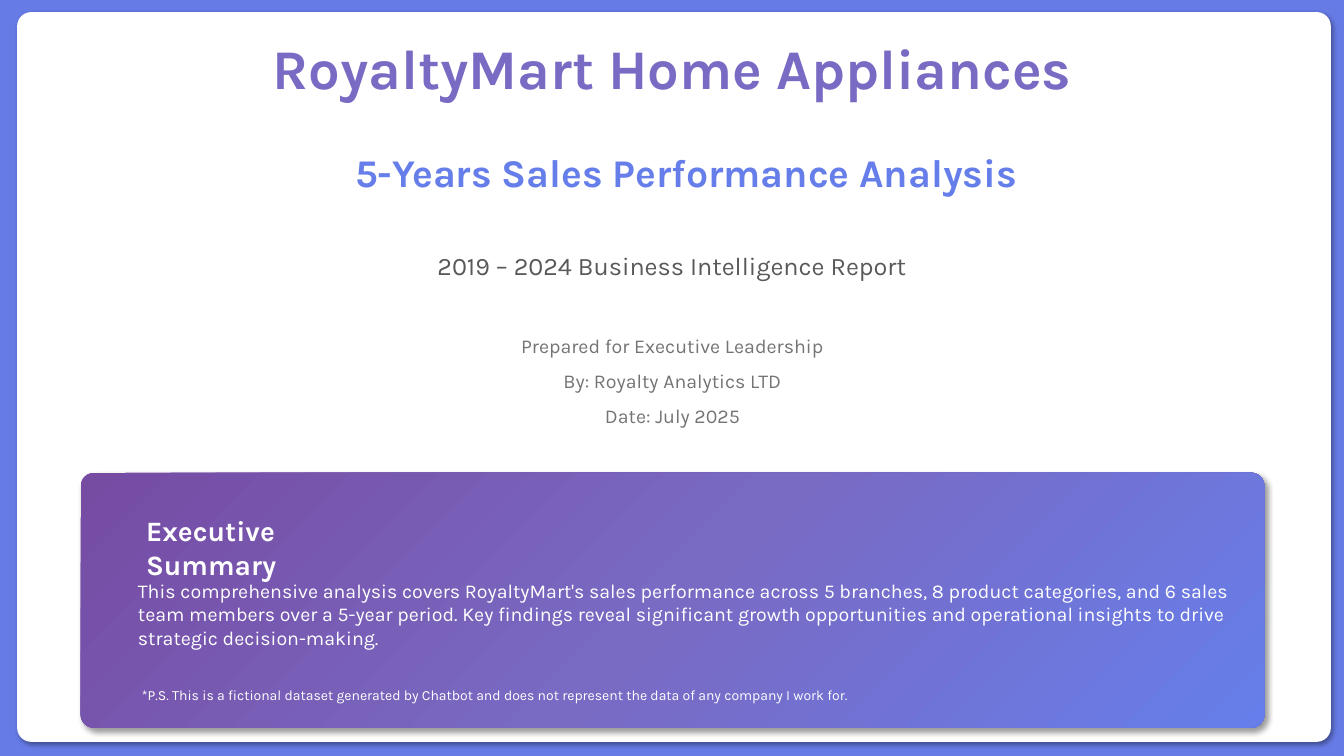
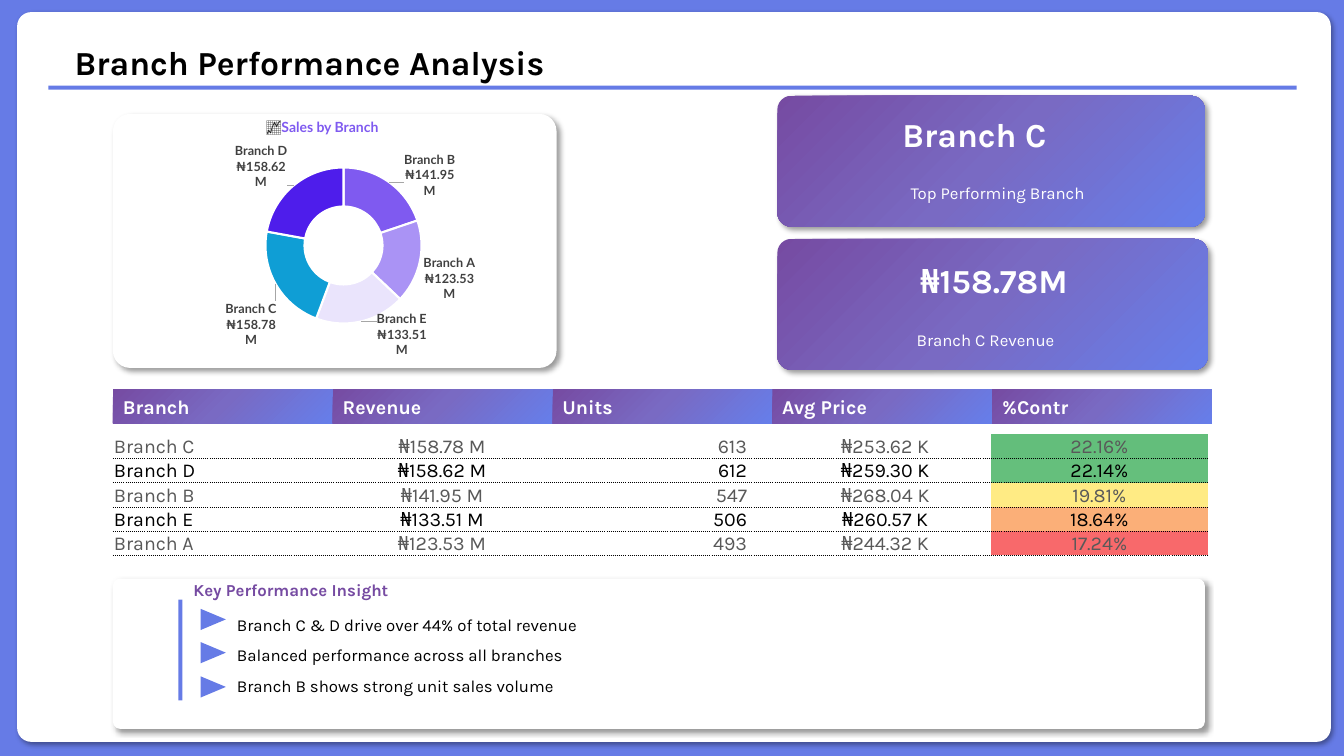
from lxml.etree import SubElement
from pptx import Presentation
from pptx.chart.data import CategoryChartData
from pptx.dml.color import RGBColor
from pptx.enum.chart import XL_CHART_TYPE
from pptx.enum.shapes import MSO_SHAPE
from pptx.enum.text import MSO_ANCHOR, MSO_AUTO_SIZE, PP_ALIGN
from pptx.oxml import parse_xml
from pptx.oxml.ns import nsdecls, qn
from pptx.util import Pt

PX = 9144  # 100 px to the inch

COLORS = {
    "frame": "667BE6", "white": "FFFFFF", "black": "000000",
    "purple": "764BA2", "violet": "796AC3", "blue": "667EEA",
    "dark": "595959", "gray": "747474", "label": "404040", "leader": "A6A6A6",
    "iris": "7F5AF0", "lilac": "AA93F5", "mist": "EAE4FC", "sky": "0F9ED5", "indigo": "4E1DEB",
    "green": "63BE7B", "soft_green": "65BF7C", "yellow": "FFEB84",
    "orange": "FBAF78", "red": "F8696B",
}
GRADIENT = [(0, "purple"), (50, "violet"), (100, "blue")]
LEFT, CENTER, RIGHT = PP_ALIGN.LEFT, PP_ALIGN.CENTER, PP_ALIGN.RIGHT
TOP, MIDDLE, BOTTOM = MSO_ANCHOR.TOP, MSO_ANCHOR.MIDDLE, MSO_ANCHOR.BOTTOM

# Text styles
STYLES = {
    "cover_title": dict(size=40, color="violet", bold=True, align=CENTER, anchor=BOTTOM, spacing=0.9),
    "cover_heading": dict(size=28, color="blue", bold=True, align=CENTER, anchor=BOTTOM, spacing=0.9),
    "subtitle": dict(size=18, color="dark", align=CENTER, spacing=0.9, before=10),
    "credits": dict(size=14, color="gray", align=CENTER, spacing=0.9, before=10),
    "summary_title": dict(size=20, color="white", bold=True),
    "summary": dict(size=14, color="white"),
    "note": dict(size=10, color="white"),
    "title": dict(size=24, color="black", bold=True, align=CENTER, anchor=BOTTOM, spacing=0.9),
    "figure": dict(size=24, color="white", bold=True, align=CENTER),
    "caption": dict(size=12, color="white", align=CENTER),
    "chart_icon": dict(size=11, color="black", bold=True, font="Lato"),
    "chart_title": dict(size=10, color="iris", bold=True, font="Lato"),
    "header": dict(size=14, color="white", bold=True, anchor=MIDDLE),
    "odd_row": dict(size=14, color="dark"),
    "even_row": dict(size=14, color="black"),
    "insight_title": dict(size=12, color="purple", bold=True),
    "insights": dict(size=12, color="black", spacing=1.5),
}

# Shared parts: box, fill, corner radius
PANEL = ((17, 12, 1303, 724), "white", 14)

# Cover content: box, lines, style
COVER_TITLE = ((205, 47, 923, 59), ["RoyaltyMart Home Appliances"], "cover_title")
COVER_SUBTITLE = ((352, 247, 629, 59), ["2019 – 2024 Business Intelligence Report"], "subtitle")
SUMMARY = (
    "This comprehensive analysis covers RoyaltyMart's sales performance across 5 branches, "
    "8 product categories, and 6 sales team members over a 5-year period. Key findings reveal "
    "significant growth opportunities and operational insights to drive strategic "
    "decision-making.")
NOTE = ("*P.S. This is a fictional dataset generated by Chatbot and does not "
        "represent the data of any company I work for.")
CREDITS = ["Prepared for Executive Leadership", "By: Royalty Analytics LTD", "Date: July 2025"]
COVER_TEXTS = [
    ((219, 140, 923, 59), ["5-Years Sales Performance Analysis"], "cover_heading"),
    ((318, 329, 698, 130), CREDITS, "credits"),
    ((135, 505, 278, 44), ["Executive Summary"], "summary_title"),
    ((127, 569, 1107, 81), [SUMMARY], "summary"),
    ((131, 676, 741, 27), [NOTE], "note"),
]
COVER_CARDS = [((80, 469, 1174, 253), "gradient", 13)]

# Branch content
BRANCH_TITLE = ((30, 28, 554, 59), ["Branch Performance Analysis"], "title")
INSIGHTS = ["Branch C & D drive over 44% of total revenue",
            "Balanced performance across all branches",
            "Branch B shows strong unit sales volume"]
INSIGHT_LIST = ((225, 595, 469, 97), INSIGHTS, "insights")
BRANCH_CARDS = [
    ((771, 95, 424, 130), "gradient", 14),
    ((771, 237, 427, 130), "gradient", 14),
    ((112, 113, 440, 252), "white", 17),
    ((112, 574, 1083, 149), "white", 7),
]
BRANCH_TEXTS = [
    ((836, 108, 261, 50), ["Branch C"], "figure"),
    ((849, 176, 281, 30), ["Top Performing Branch"], "caption"),
    ((879, 253, 214, 50), ["₦158.78M"], "figure"),
    ((889, 322, 177, 30), ["Branch C Revenue"], "caption"),
    ((182, 570, 237, 31), ["Key Performance Insight"], "insight_title"),
]
TITLE_RULE = (48, 85, 1238, 4)
INSIGHT_BAR = (177, 595, 4, 100)
MARKER_LEFT, MARKER_TOP, MARKER_WIDTH, MARKER_HEIGHT = 201, 602, 21, 25
MARKER_SPAN = 67  # first marker to last

# Chart: branch, revenue, slice colour, label offset as a share of the chart
CHART_BOX = (167, 134, 344, 226)
CHART_TITLE_BOX = (254, 111, 155, 28)
RING = dict(x=0.28, y=0.14, w=0.45, h=0.69)
SALES = [
    ("Branch B", 141950000, "iris", (0.15, -0.10)),
    ("Branch A", 123530000, "lilac", (0.14, 0.09)),
    ("Branch E", 133510000, "mist", (0.13, 0.14)),
    ("Branch C", 158780000, "sky", (-0.12, 0.22)),
    ("Branch D", 158620000, "indigo", (-0.13, -0.15)),
]

# Table: the last entry of a row is the fill of its last cell
HEADERS = ["Branch", "Revenue", "Units", "Avg Price", "%Contr"]
ROWS = [
    ("Branch C", "₦158.78 M", "613", "₦253.62 K", "22.16%", "green"),
    ("Branch D", "₦158.62 M", "612", "₦259.30 K", "22.14%", "soft_green"),
    ("Branch B", "₦141.95 M", "547", "₦268.04 K", "19.81%", "yellow"),
    ("Branch E", "₦133.51 M", "506", "₦260.57 K", "18.64%", "orange"),
    ("Branch A", "₦123.53 M", "493", "₦244.32 K", "17.24%", "red"),
]
COLUMNS = [(217, LEFT), (219, CENTER), (225, RIGHT), (210, CENTER), (215, CENTER)]
TABLE_LEFT, TABLE_TOP, ROW_HEIGHT = 112, 431, 24
HEADER_TOP, HEADER_WIDTH, HEADER_HEIGHT = 386, 218, 34
UNITS_INDENT = 32
NO_STYLE_NO_GRID = "{2D5ABB26-0587-4C30-8999-92F81FD0307C}"


def color(name):
    return RGBColor.from_string(COLORS[name])


def emu(box):
    return [length * PX for length in box]


def set_fill(fill, color_name):
    fill.solid()
    fill.fore_color.rgb = color(color_name)


# Text
def add_run(paragraph, text, style_name):
    style = STYLES[style_name]
    run = paragraph.add_run()
    run.text = text
    run.font.name = style.get("font", "Karla")
    run.font.size = Pt(style["size"])
    run.font.bold = style.get("bold", False)
    run.font.color.rgb = color(style["color"])


def write(shape, lines, style_name):
    style = STYLES[style_name]
    frame = shape.text_frame
    frame.word_wrap = True
    frame.auto_size = MSO_AUTO_SIZE.NONE
    frame.vertical_anchor = style.get("anchor", TOP)
    for index, line in enumerate(lines):
        paragraph = frame.add_paragraph() if index else frame.paragraphs[0]
        paragraph.alignment = style.get("align", LEFT)
        paragraph.line_spacing = style.get("spacing", 1.0)
        paragraph.space_before = Pt(style.get("before", 0))
        add_run(paragraph, line, style_name)


def fill_placeholder(shape, box, lines, style_name):
    shape.left, shape.top, shape.width, shape.height = emu(box)
    write(shape, lines, style_name)


def remove_bullets(shape):
    for properties in shape.element.iter(qn("a:pPr")):
        properties.set("marL", "0")
        properties.set("indent", "0")
        SubElement(properties, qn("a:buNone"))


def add_text(slide, box, lines, style_name):
    shape = slide.shapes.add_textbox(*emu(box))
    write(shape, lines, style_name)
    return shape


# Shapes
def set_gradient(shape):
    shape.fill.gradient()
    shape.fill.gradient_angle = 315  # from top left to bottom right
    stops = shape.element.find(".//" + qn("a:gsLst"))
    stops.clear()
    for percent, name in GRADIENT:
        stop = SubElement(stops, qn("a:gs"), pos=str(percent * 1000))
        SubElement(stop, qn("a:srgbClr"), val=COLORS[name])


def add_block(slide, box, fill="frame", kind=MSO_SHAPE.RECTANGLE):
    shape = slide.shapes.add_shape(kind, *emu(box))
    shape.line.fill.background()
    shape.shadow.inherit = False
    if fill == "gradient":
        set_gradient(shape)
    else:
        set_fill(shape.fill, fill)
    return shape


def add_card(slide, box, fill, radius):
    """Rounded card with a soft shadow, placed behind the placeholders."""
    card = add_block(slide, box, fill, MSO_SHAPE.ROUNDED_RECTANGLE)
    card.adjustments[0] = radius / min(box[2:])
    card.element.find(".//" + qn("a:effectLst")).append(parse_xml(
        f'<a:outerShdw {nsdecls("a")} blurRad="{Pt(4)}" dist="{Pt(3)}" dir="2700000" '
        f'algn="tl" rotWithShape="0"><a:srgbClr val="{COLORS["black"]}">'
        '<a:alpha val="40000"/></a:srgbClr></a:outerShdw>'))
    slide.shapes.title.element.addprevious(card.element)


def new_slide(presentation, layout_index, title, body, cards, texts):
    """Title and body placeholders on the white panel, then cards and texts."""
    slide = presentation.slides.add_slide(presentation.slide_layouts[layout_index])
    fill_placeholder(slide.shapes.title, *title)
    fill_placeholder(slide.placeholders[1], *body)
    for card in [PANEL, *cards]:
        add_card(slide, *card)
    for text in texts:
        add_text(slide, *text)
    return slide


# Chart
def labels_xml():
    """Bold labels, each moved out of the ring by its own offset."""
    look = (
        '<c:numFmt formatCode="&quot;₦&quot;#,##0.00,,\\ &quot;M&quot;" sourceLinked="0"/>'
        '<c:spPr><a:noFill/><a:ln><a:noFill/></a:ln></c:spPr>'
        '<c:txPr><a:bodyPr/><a:p><a:pPr><a:defRPr sz="900" b="1"><a:solidFill>'
        f'<a:srgbClr val="{COLORS["label"]}"/></a:solidFill><a:latin typeface="Lato"/>'
        '</a:defRPr></a:pPr><a:endParaRPr lang="en-US"/></a:p></c:txPr>'
        '<c:showLegendKey val="0"/><c:showVal val="1"/><c:showCatName val="1"/>'
        '<c:showSerName val="0"/><c:showPercent val="0"/><c:showBubbleSize val="0"/>'
        '<c:separator>\n</c:separator>')
    labels = "".join(
        f'<c:dLbl><c:idx val="{index}"/><c:layout><c:manualLayout><c:x val="{x}"/>'
        f'<c:y val="{y}"/></c:manualLayout></c:layout>{look}</c:dLbl>'
        for index, (_, _, _, (x, y)) in enumerate(SALES))
    return (f'<c:dLbls {nsdecls("c", "a")}>{labels}{look}<c:showLeaderLines val="1"/>'
            f'<c:leaderLines><c:spPr><a:ln w="{Pt(0.75)}"><a:solidFill>'
            f'<a:srgbClr val="{COLORS["leader"]}"/></a:solidFill></a:ln></c:spPr>'
            '</c:leaderLines></c:dLbls>')


def place_ring(plot_area):
    for layout in plot_area.findall(qn("c:layout")):
        plot_area.remove(layout)
    sides = "".join(f'<c:{side} val="{share}"/>' for side, share in RING.items())
    plot_area.insert(0, parse_xml(
        f'<c:layout {nsdecls("c")}><c:manualLayout><c:layoutTarget val="inner"/>'
        f'<c:xMode val="edge"/><c:yMode val="edge"/>{sides}</c:manualLayout></c:layout>'))


def add_sales_chart(slide):
    data = CategoryChartData()
    data.categories = [branch for branch, *_ in SALES]
    data.add_series("Series 1", [revenue for _, revenue, *_ in SALES])
    chart = slide.shapes.add_chart(XL_CHART_TYPE.DOUGHNUT, *emu(CHART_BOX), data).chart
    chart.has_legend = chart.has_title = False
    chart.font.name, chart.font.size = "Lato", Pt(10)
    chart.font.color.rgb = color("black")
    plot = chart.plots[0]
    plot.vary_by_categories = True
    for index, (_, _, slice_color, _) in enumerate(SALES):
        point_format = plot.series[0].points[index].format
        set_fill(point_format.fill, slice_color)
        point_format.line.color.rgb = color("white")
        point_format.line.width = Pt(1.5)
    root = chart.element
    root.find(".//" + qn("c:cat")).addprevious(parse_xml(labels_xml()))
    root.find(".//" + qn("c:holeSize")).set("val", "60")
    place_ring(root.find(".//" + qn("c:plotArea")))


# Table
def write_cell(cell, value, align, style_name):
    cell.margin_left = cell.margin_top = PX
    cell.margin_right = PX * (UNITS_INDENT if align == RIGHT else 1)
    cell.margin_bottom = 0
    cell.vertical_anchor = BOTTOM
    paragraph = cell.text_frame.paragraphs[0]
    paragraph.alignment = align
    add_run(paragraph, value, style_name)
    cell.fill.background()


def add_dotted_borders(frame):
    for properties in frame.element.iter(qn("a:tcPr")):
        properties.insert(0, parse_xml(
            f'<a:lnB {nsdecls("a")} w="{Pt(0.5)}"><a:solidFill><a:srgbClr '
            f'val="{COLORS["black"]}"/></a:solidFill><a:prstDash val="dot"/></a:lnB>'))


def add_branch_table(slide):
    for index, header in enumerate(HEADERS):
        box = (TABLE_LEFT + HEADER_WIDTH * index, HEADER_TOP, HEADER_WIDTH, HEADER_HEIGHT)
        write(add_block(slide, box, "gradient"), [header], "header")
    box = (TABLE_LEFT, TABLE_TOP, sum(width for width, _ in COLUMNS), ROW_HEIGHT * len(ROWS))
    frame = slide.shapes.add_table(len(ROWS), len(COLUMNS), *emu(box))
    frame.element.find(".//" + qn("a:tableStyleId")).text = NO_STYLE_NO_GRID
    table = frame.table
    table.first_row = table.horz_banding = False
    for column, (width, _) in zip(table.columns, COLUMNS):
        column.width = width * PX
    for index, (row, (*values, highlight)) in enumerate(zip(table.rows, ROWS)):
        row.height = ROW_HEIGHT * PX
        style_name = "even_row" if index % 2 else "odd_row"
        for cell, value, (_, align) in zip(row.cells, values, COLUMNS):
            write_cell(cell, value, align, style_name)
        set_fill(table.cell(index, len(COLUMNS) - 1).fill, highlight)
    add_dotted_borders(frame)


# Slides
def build_cover(presentation):
    new_slide(presentation, 0, COVER_TITLE, COVER_SUBTITLE, COVER_CARDS, COVER_TEXTS)


def build_branches(presentation):
    slide = new_slide(presentation, 1, BRANCH_TITLE, INSIGHT_LIST, BRANCH_CARDS, BRANCH_TEXTS)
    remove_bullets(slide.placeholders[1])
    add_block(slide, TITLE_RULE)
    chart_title = add_text(slide, CHART_TITLE_BOX, ["📈"], "chart_icon")
    add_run(chart_title.text_frame.paragraphs[0], "Sales by Branch", "chart_title")
    add_sales_chart(slide)
    add_branch_table(slide)
    add_block(slide, INSIGHT_BAR)
    for index in range(len(INSIGHTS)):
        top = MARKER_TOP + MARKER_SPAN * index // (len(INSIGHTS) - 1)
        marker = add_block(slide, (MARKER_LEFT, top, MARKER_WIDTH, MARKER_HEIGHT),
                           kind=MSO_SHAPE.ISOSCELES_TRIANGLE)
        marker.rotation = 90


def main():
    presentation = Presentation()
    presentation.slide_width, presentation.slide_height = emu((1333, 750))
    set_fill(presentation.slide_master.background.fill, "frame")
    build_cover(presentation)
    build_branches(presentation)
    presentation.save("out.pptx")


if __name__ == "__main__":
    main()
